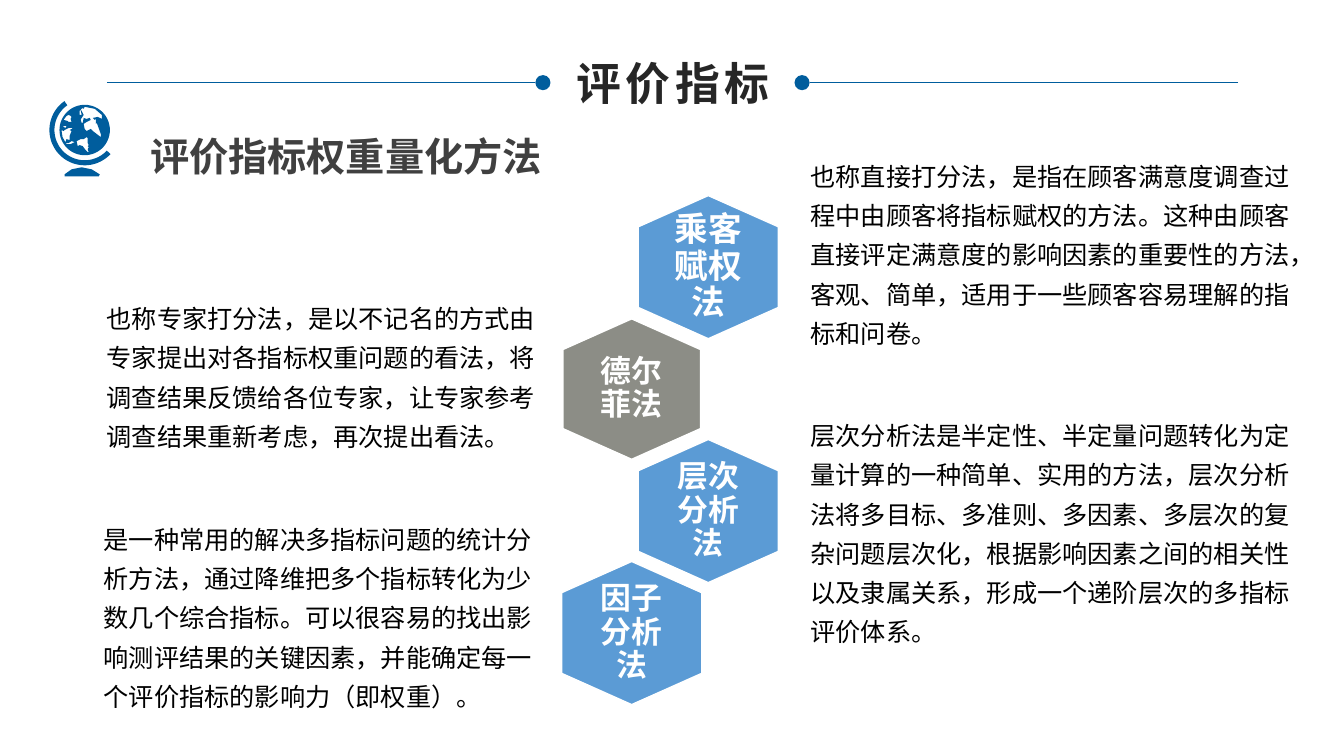
from dataclasses import dataclass
from math import cos, radians, sin

from lxml import etree
from pptx import Presentation
from pptx.dml.color import RGBColor
from pptx.enum.shapes import MSO_CONNECTOR, MSO_SHAPE
from pptx.enum.text import MSO_ANCHOR, MSO_AUTO_SIZE, PP_ALIGN
from pptx.oxml.ns import qn
from pptx.util import Inches, Pt

LEFT, CENTER = PP_ALIGN.LEFT, PP_ALIGN.CENTER
MIDDLE = MSO_ANCHOR.MIDDLE
GROW = MSO_AUTO_SIZE.SHAPE_TO_FIT_TEXT
STRAIGHT, OVAL = MSO_CONNECTOR.STRAIGHT, MSO_SHAPE.OVAL

FONT = "Noto Sans CJK SC"
COLORS = {
    "navy": "005D9D", "blue": "5B9BD5", "gray": "8C8D86", "white": "FFFFFF",
    "title": "262626", "heading": "404040", "body": "000000",
}
Contour = list[tuple[float, float]]


@dataclass
class TextBlock:
    left: float
    top: float
    width: float
    height: float
    text: str
    size: float = 18
    color: str = "body"
    bold: bool = False
    line_spacing: float = 1.3
    align: PP_ALIGN = LEFT
    wrap: bool = True
    tracking: float = 0


@dataclass
class Hexagon:
    text: str
    left: float
    size: float = 22
    fill: str = "blue"
    outline: float = 1


@dataclass
class TitleRule:
    outer: float
    inner: float
    dot_left: float


# Slide content
TEXT_BLOCKS = [
    TextBlock(5.59, 0.5, 2.17, 0.64, "评价指标", 32, "title", True, 1, CENTER, False, 3),
    TextBlock(1.39, 1.26, 4.79, 0.57, "评价指标权重量化方法", 28, "heading", True, 1),
    TextBlock(7.94, 1.46, 5.18, 2.07, "也称直接打分法，是指在顾客满意度调查过程中由顾客将指标赋权的方法。这种由顾客直接评定满意度的影响因素的重要性的方法，客观、简单，适用于一些顾客容易理解的指标和问卷。"),
    TextBlock(0.96, 2.87, 4.54, 1.68, "也称专家打分法，是以不记名的方式由专家提出对各指标权重问题的看法，将调查结果反馈给各位专家，让专家参考调查结果重新考虑，再次提出看法。"),
    TextBlock(7.94, 4.03, 5.18, 2.41, "层次分析法是半定性、半定量问题转化为定量计算的一种简单、实用的方法，层次分析法将多目标、多准则、多因素、多层次的复杂问题层次化，根据影响因素之间的相关性以及隶属关系，形成一个递阶层次的多指标评价体系。"),
    TextBlock(0.93, 5.06, 4.54, 2.07, "是一种常用的解决多指标问题的统计分析方法，通过降维把多个指标转化为少数几个综合指标。可以很容易的找出影响测评结果的关键因素，并能确定每一个评价指标的影响力（即权重）。"),
]
HEXAGONS = [
    Hexagon("乘客赋权法", 6.33, 24),
    Hexagon("德尔菲法", 5.57, fill="gray", outline=2.75),
    Hexagon("层次分析法", 6.33),
    Hexagon("因子分析法", 5.57),
]
HEX_TOP, HEX_STEP, HEX_WIDTH, HEX_HEIGHT, HEX_SHOULDER = 1.94, 1.21, 1.39, 1.42, 0.31
TITLE_RULES = [TitleRule(1.06, 5.31, 5.31), TitleRule(12.28, 8.03, 7.88)]
RULE_Y, DOT_SIZE = 0.82, 0.15

# Globe icon: land areas are holes in the disc
GLOBE_CENTER = (0.84, 1.29)
LANDS: list[Contour] = [
    [(0.79, 1.14), (0.81, 1.14), (0.8, 1.09), (0.81, 1.1), (0.83, 1.14), (0.81, 1.17),
     (0.8, 1.19), (0.81, 1.22), (0.82, 1.22), (0.83, 1.17), (0.86, 1.18), (0.89, 1.17),
     (0.9, 1.19), (0.86, 1.21), (0.83, 1.23), (0.84, 1.28), (0.86, 1.3), (0.9, 1.28),
     (0.92, 1.3), (1, 1.36), (1, 1.33), (0.96, 1.22), (0.95, 1.23), (0.95, 1.18),
     (0.94, 1.19), (0.92, 1.17), (0.97, 1.16), (1.01, 1.18), (1.01, 1.14), (0.94, 1.08),
     (0.84, 1.06), (0.83, 1.08), (0.82, 1.07), (0.79, 1.1)],
    [(0.76, 1.4), (0.77, 1.45), (0.79, 1.44), (0.82, 1.45), (0.85, 1.49), (0.87, 1.51),
     (0.88, 1.51), (0.87, 1.48), (0.88, 1.46), (0.87, 1.45), (0.88, 1.44), (0.87, 1.42),
     (0.87, 1.37), (0.86, 1.36), (0.83, 1.38), (0.8, 1.38)],
    [(0.69, 1.29), (0.71, 1.28), (0.72, 1.27), (0.68, 1.27), (0.64, 1.29), (0.63, 1.3),
     (0.61, 1.29), (0.62, 1.36), (0.66, 1.43), (0.7, 1.43), (0.74, 1.41), (0.71, 1.4),
     (0.68, 1.42), (0.66, 1.42), (0.65, 1.41), (0.66, 1.38), (0.69, 1.39), (0.69, 1.35),
     (0.71, 1.3)],
    [(0.66, 1.15), (0.63, 1.19), (0.67, 1.2), (0.68, 1.21), (0.71, 1.21), (0.7, 1.18),
     (0.71, 1.16), (0.7, 1.15), (0.68, 1.14)],
    [(0.61, 1.26), (0.63, 1.26), (0.65, 1.27), (0.66, 1.25), (0.64, 1.25)],
]


def arc(radius: float, start: int, stop: int, step: int) -> Contour:
    center_x, center_y = GLOBE_CENTER
    return [(center_x + radius * cos(radians(angle)), center_y + radius * sin(radians(angle)))
            for angle in range(start, stop, step)]


def paint(shape, fill: str, outline: float = 0) -> None:
    shape.shadow.inherit = False
    shape.fill.solid()
    shape.fill.fore_color.rgb = RGBColor.from_string(COLORS[fill])
    if outline:
        shape.line.color.rgb = RGBColor.from_string(COLORS["white"])
        shape.line.width = Pt(outline)
    else:
        shape.line.fill.background()


def write(shape, text: str, *, size: float, color: str, bold: bool,
          line_spacing: float, align: PP_ALIGN, tracking: float = 0) -> None:
    para = shape.text_frame.paragraphs[0]
    para.alignment = align
    para.line_spacing = line_spacing
    span = para.add_run()
    span.text = text
    span.font.size = Pt(size)
    span.font.bold = bold
    span.font.color.rgb = RGBColor.from_string(COLORS[color])
    span.font.name = FONT
    properties = span.font._element
    etree.SubElement(properties, qn("a:ea")).set("typeface", FONT)
    if tracking:
        properties.set("spc", str(int(tracking * 100)))


def draw_outline(page, contours: list[Contour]):
    scaled = [[(Inches(x), Inches(y)) for x, y in contour] for contour in contours]
    builder = page.shapes.build_freeform(*scaled[0][0], scale=1.0)
    for index, points in enumerate(scaled):
        if index:
            builder.move_to(*points[0])
        builder.add_line_segments(points[1:], close=True)
    return builder.convert_to_shape()


def draw_text(page, block: TextBlock) -> None:
    box = page.shapes.add_textbox(Inches(block.left), Inches(block.top),
                                  Inches(block.width), Inches(block.height))
    box.text_frame.word_wrap = block.wrap
    box.text_frame.auto_size = GROW
    write(box, block.text, size=block.size, color=block.color, bold=block.bold,
          line_spacing=block.line_spacing, align=block.align, tracking=block.tracking)


def draw_hexagon(page, hexagon: Hexagon, top: float) -> None:
    left, right = hexagon.left, hexagon.left + HEX_WIDTH
    middle, bottom = left + HEX_WIDTH / 2, top + HEX_HEIGHT
    upper, lower = top + HEX_SHOULDER, bottom - HEX_SHOULDER
    shape = draw_outline(page, [[(middle, top), (right, upper), (right, lower),
                                 (middle, bottom), (left, lower), (left, upper)]])
    paint(shape, hexagon.fill, hexagon.outline)
    frame = shape.text_frame
    frame.word_wrap = True
    frame.vertical_anchor = MIDDLE
    frame.margin_left = frame.margin_right = Inches(0.25)
    frame.margin_top = frame.margin_bottom = Inches(0.28)
    write(shape, hexagon.text, size=hexagon.size, color="white", bold=True,
          line_spacing=0.9, align=CENTER)


def draw_title_rule(page, rule: TitleRule) -> None:
    line = page.shapes.add_connector(STRAIGHT, Inches(rule.outer), Inches(RULE_Y),
                                     Inches(rule.inner), Inches(RULE_Y))
    line.line.color.rgb = RGBColor.from_string(COLORS["navy"])
    line.line.width = Pt(0.25)
    etree.SubElement(line._element.spPr, qn("a:effectLst"))
    dot = page.shapes.add_shape(OVAL, Inches(rule.dot_left), Inches(RULE_Y - DOT_SIZE / 2),
                                Inches(DOT_SIZE), Inches(DOT_SIZE))
    paint(dot, "navy")


def draw_globe(page) -> None:
    disc = arc(0.25, 0, 360, 6)
    bracket = arc(0.35, 43, 236, 4) + arc(0.3, 235, 42, -4)
    stand = [(0.64, 1.75), (0.64, 1.73), (0.71, 1.68), (0.81, 1.66),
             (0.91, 1.68), (0.99, 1.73), (0.98, 1.75)]
    paint(draw_outline(page, [disc, *LANDS, bracket, stand]), "navy")


def main() -> None:
    deck = Presentation()
    deck.slide_width, deck.slide_height = Inches(13.33), Inches(7.5)
    page = deck.slides.add_slide(deck.slide_layouts[6])
    for rule in TITLE_RULES:
        draw_title_rule(page, rule)
    for index, hexagon in enumerate(HEXAGONS):
        draw_hexagon(page, hexagon, HEX_TOP + index * HEX_STEP)
    for block in TEXT_BLOCKS:
        draw_text(page, block)
    draw_globe(page)
    deck.save("out.pptx")


if __name__ == "__main__":
    main()
